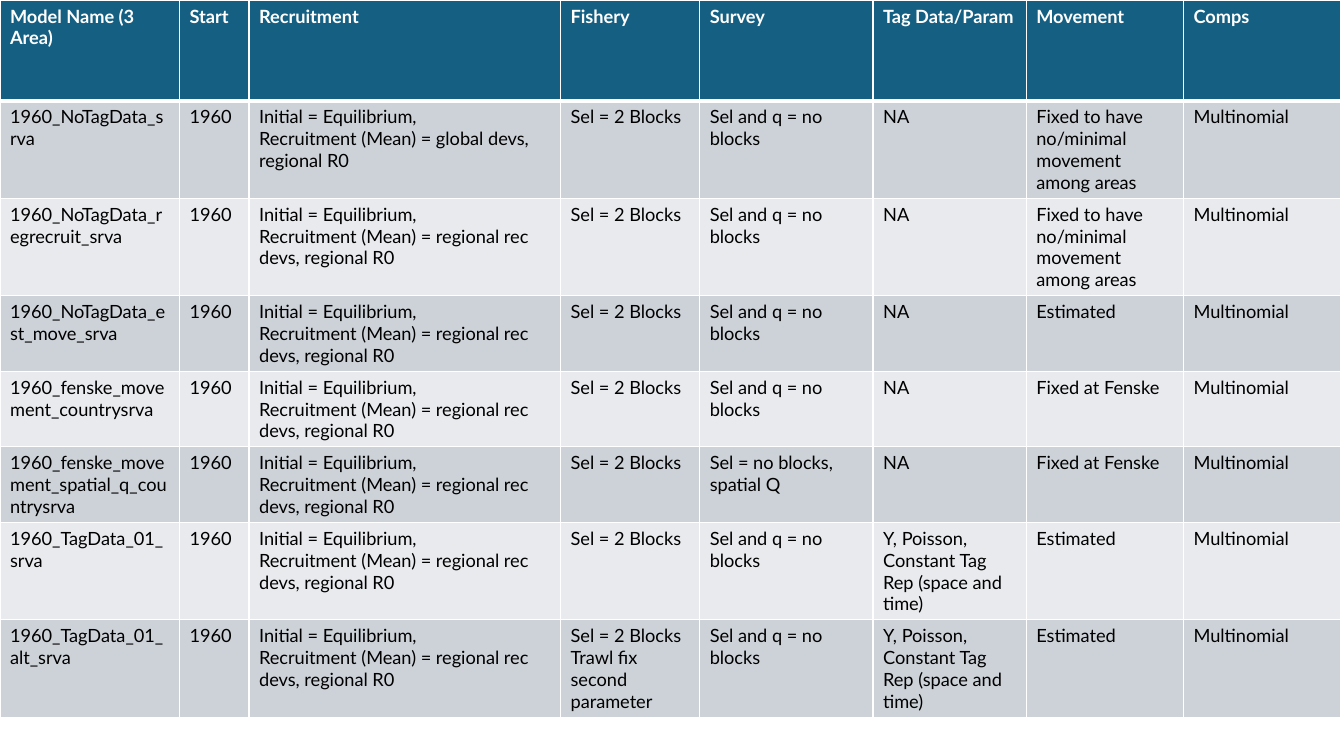
"""Build a slide with a table comparing the three-area model runs."""
import pptx
import pptx.dml.color
import pptx.util
from lxml import etree
from pptx.dml.color import RGBColor
from pptx.util import Inches

WHITE = RGBColor(0xFF, 0xFF, 0xFF)
BLACK = RGBColor(0x00, 0x00, 0x00)
HEADER_BLUE = RGBColor(0x15, 0x60, 0x82)
BAND_DARK = RGBColor(0xCC, 0xD2, 0xD8)
BAND_LIGHT = RGBColor(0xE8, 0xEA, 0xED)
FONT = "Lato"
DRAWING_NS = "{http://schemas.openxmlformats.org/drawingml/2006/main}"

REGIONAL = "regional rec devs"
TWO_BLOCKS = "Sel = 2 Blocks"
NO_BLOCKS = "Sel and q = no blocks"
NO_MOVEMENT = "Fixed to have no/minimal movement among areas"
POISSON = "Y, Poisson, Constant Tag Rep (space and time)"

headings = ["Model Name (3 Area)", "Start", "Recruitment", "Fishery",
            "Survey", "Tag Data/Param", "Movement", "Comps"]
models = [
    ("1960_NoTagData_srva", "global devs", TWO_BLOCKS, NO_BLOCKS, "NA", NO_MOVEMENT),
    ("1960_NoTagData_regrecruit_srva", REGIONAL, TWO_BLOCKS, NO_BLOCKS, "NA", NO_MOVEMENT),
    ("1960_NoTagData_est_move_srva", REGIONAL, TWO_BLOCKS, NO_BLOCKS, "NA", "Estimated"),
    ("1960_fenske_movement_countrysrva", REGIONAL, TWO_BLOCKS, NO_BLOCKS, "NA",
     "Fixed at Fenske"),
    ("1960_fenske_movement_spatial_q_countrysrva", REGIONAL, TWO_BLOCKS,
     "Sel = no blocks, spatial Q", "NA", "Fixed at Fenske"),
    ("1960_TagData_01_srva", REGIONAL, TWO_BLOCKS, NO_BLOCKS, POISSON, "Estimated"),
    ("1960_TagData_01_alt_srva", REGIONAL, TWO_BLOCKS + "\nTrawl fix second parameter",
     NO_BLOCKS, POISSON, "Estimated"),
]
column_widths = [1.78, 0.69, 3.09, 1.38, 1.72, 1.52, 1.56, 1.56]

table_rows = [headings]
for name, deviations, fishery, survey, tags, movement in models:
    recruitment = f"Initial = Equilibrium,\nRecruitment (Mean) = {deviations}, regional R0"
    table_rows.append([name, "1960", recruitment, fishery, survey, tags, movement,
                       "Multinomial"])


def add_border(cell, side, points):
    """Draw one white edge of a cell."""
    edge = etree.SubElement(cell._tc.get_or_add_tcPr(), DRAWING_NS + "ln" + side,
                            w=str(pptx.util.Pt(points)))
    fill = etree.SubElement(edge, DRAWING_NS + "solidFill")
    etree.SubElement(fill, DRAWING_NS + "srgbClr", val=str(WHITE))


presentation = pptx.Presentation()
presentation.slide_width = Inches(13.33)
presentation.slide_height = Inches(7.5)
slide = presentation.slides.add_slide(presentation.slide_layouts[6])

comparison = slide.shapes.add_table(len(table_rows), len(headings), Inches(0), Inches(0),
                                    Inches(13.3), Inches(7.11)).table
for column, width in zip(comparison.columns, column_widths):
    column.width = Inches(width)

for row_index, texts in enumerate(table_rows):
    is_header = row_index == 0
    comparison.rows[row_index].height = Inches(1 if is_header else 0.7)
    if is_header:
        background = HEADER_BLUE
    else:
        background = BAND_DARK if row_index % 2 else BAND_LIGHT
    for column_index, text in enumerate(texts):
        cell = comparison.cell(row_index, column_index)
        for side in "LRTB":
            thick = (is_header and side == "B") or (row_index == 1 and side == "T")
            add_border(cell, side, 3 if thick else 1)
        cell.fill.solid()
        cell.fill.fore_color.rgb = background
        cell.text_frame.text = text
        for paragraph in cell.text_frame.paragraphs:
            for run in paragraph.runs:
                run.font.name = FONT
                run.font.size = pptx.util.Pt(13)
                run.font.bold = is_header
                run.font.color.rgb = WHITE if is_header else BLACK

presentation.save("out.pptx")
